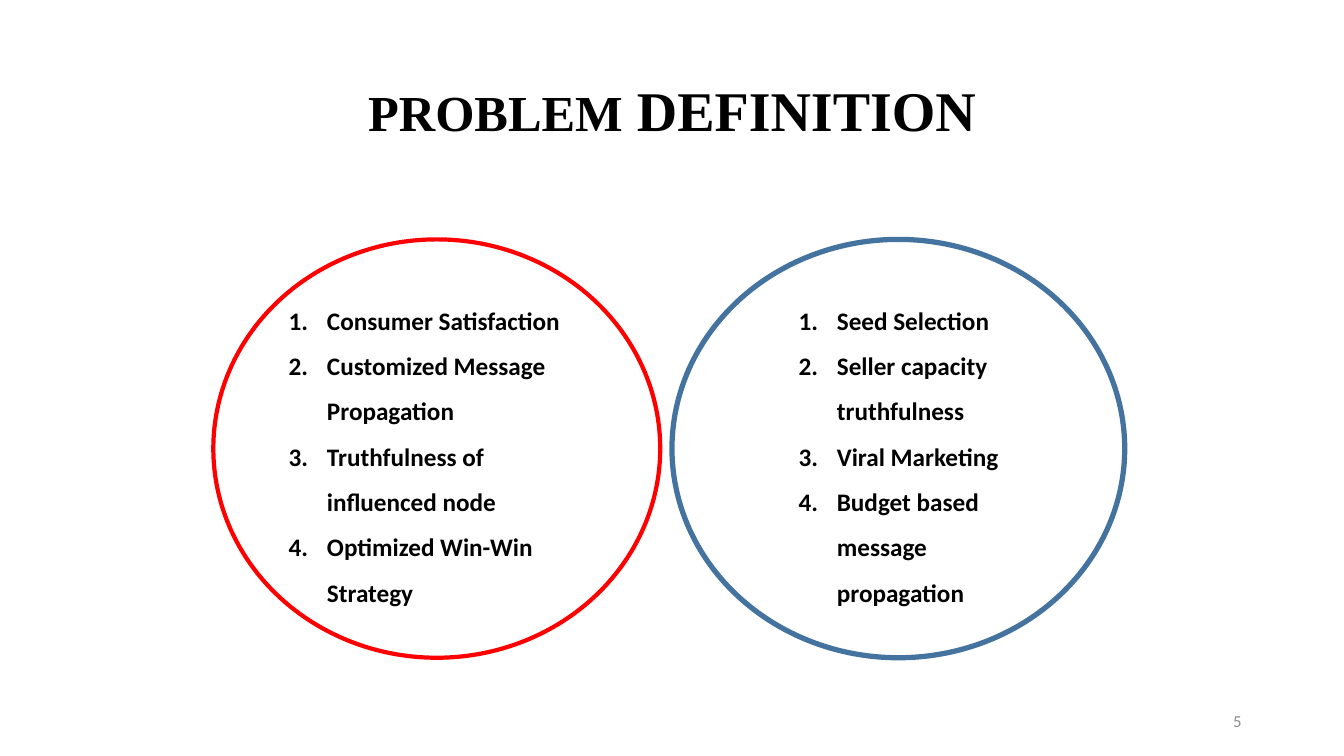
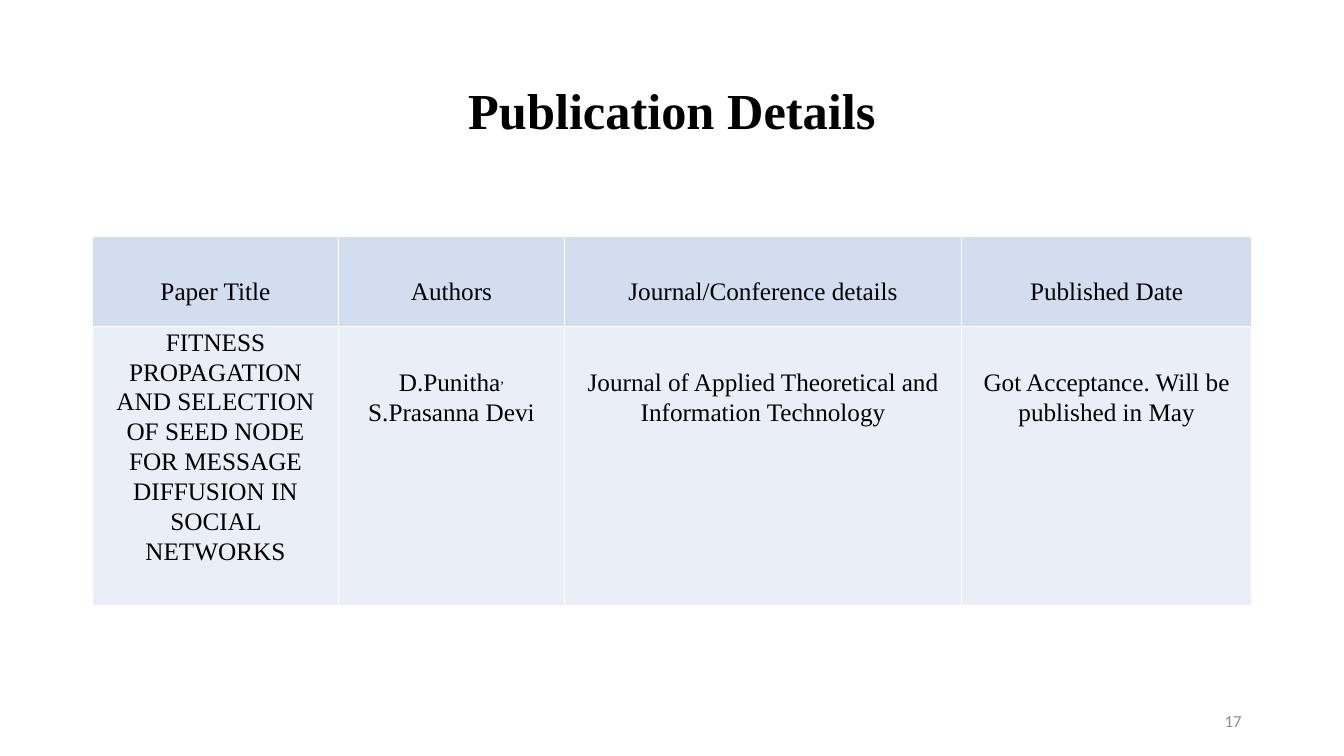
from lxml import etree
from pptx import Presentation
from pptx.dml.color import RGBColor
from pptx.enum.shapes import MSO_SHAPE
from pptx.enum.text import MSO_ANCHOR, PP_ALIGN
from pptx.oxml.ns import qn
from pptx.util import Inches, Pt

OVAL = MSO_SHAPE.OVAL
MIDDLE, TOP = MSO_ANCHOR.MIDDLE, MSO_ANCHOR.TOP
LEFT, CENTER, RIGHT = PP_ALIGN.LEFT, PP_ALIGN.CENTER, PP_ALIGN.RIGHT

BLACK = RGBColor(0x00, 0x00, 0x00)
WHITE = RGBColor(0xFF, 0xFF, 0xFF)
GRAY = RGBColor(0x8C, 0x8C, 0x8C)
RED = RGBColor(0xFF, 0x00, 0x00)
BLUE = RGBColor(0x43, 0x73, 0x9E)
HEADER_FILL = RGBColor(0xD2, 0xDE, 0xEF)
BODY_FILL = RGBColor(0xEA, 0xEF, 0xF7)
SERIF, SANS = "Times New Roman", "Calibri"

presentation = Presentation()
presentation.slide_width = Inches(13.33)
presentation.slide_height = Inches(7.5)

# The grid has 160 columns and 90 rows; content spans 138 columns.
COLUMN = presentation.slide_width / 160
ROW = presentation.slide_height / 90
MARGIN, CONTENT = 11, 138


def grid_box(left, top, width, height):
    return (int(left * COLUMN), int(top * ROW),
            int(width * COLUMN), int(height * ROW))


def format_paragraph(paragraph, align, font_name, size, color, bold=False):
    paragraph.alignment = align
    for run in paragraph.runs:
        run.font.name = font_name
        run.font.size = Pt(size)
        run.font.color.rgb = color
        run.font.bold = bold


# Titles and page numbers of both slides
slides = []
for title_parts, number in [(["PROBLEM", " DEFINITION"], "5"),
                            (["Publication Details"], "17")]:
    slide = presentation.slides.add_slide(presentation.slide_layouts[5])
    slides.append(slide)

    title = slide.shapes.title
    title.left, title.top, title.width, title.height = grid_box(
        MARGIN, 4.8, CONTENT, 17.4)
    title.text_frame.vertical_anchor = MIDDLE
    paragraph = title.text_frame.paragraphs[0]
    for part in title_parts:
        paragraph.add_run().text = part
    paragraph.line_spacing = 0.9
    format_paragraph(paragraph, CENTER, SERIF, 36, BLACK, bold=True)

    page_number = slide.shapes.add_textbox(*grid_box(113, 83.4, 36, 4.8))
    page_number.text_frame.word_wrap = True
    page_number.text_frame.vertical_anchor = MIDDLE
    page_number.text_frame.text = number
    format_paragraph(page_number.text_frame.paragraphs[0], RIGHT, SANS, 12, GRAY)

problem_slide, publication_slide = slides
problem_slide.shapes.title.text_frame.paragraphs[0].runs[1].font.size = Pt(40)

# Problem definition: two circles with numbered lists
circles = [
    (25.4, 53.2, RED, 3, 0.38,
     ["Consumer Satisfaction", "Customized Message Propagation",
      "Truthfulness of influenced node", "Optimized Win-Win Strategy"]),
    (80, 53.9, BLUE, 3.75, 0.88,
     ["Seed Selection", "Seller capacity truthfulness",
      "Viral Marketing", "Budget based message propagation"]),
]
for left, width, color, line_width, indent, items in circles:
    circle = problem_slide.shapes.add_shape(OVAL, *grid_box(left, 28.5, width, 49.8))
    circle.shadow.inherit = False
    circle.fill.background()
    circle.line.color.rgb = color
    circle.line.width = Pt(line_width)
    circle.text_frame.vertical_anchor = MIDDLE
    circle.text_frame.text = "\n".join(items)
    for paragraph in circle.text_frame.paragraphs:
        paragraph.line_spacing = 1.5
        format_paragraph(paragraph, LEFT, SANS, 18, BLACK, bold=True)
        properties = paragraph._p.get_or_add_pPr()
        properties.set("marL", str(Inches(indent)))
        properties.set("indent", str(Inches(-0.38)))
        etree.SubElement(properties, qn("a:buFont"), typeface="+mj-lt")
        etree.SubElement(properties, qn("a:buAutoNum"), type="arabicPeriod")

# Publication details: table
column_widths = [29.3, 26.9, 47.3, 34.5]
row_heights = [10.8, 33.2]
row_fills = [HEADER_FILL, BODY_FILL]
publications = [
    ["Paper Title", "Authors", "Journal/Conference details", "Published Date"],
    ["FITNESS PROPAGATION AND SELECTION OF SEED NODE FOR MESSAGE DIFFUSION "
     "IN SOCIAL NETWORKS",
     "D.Punitha",
     "Journal of Applied Theoretical and Information Technology",
     "Got Acceptance. Will be published in May"],
]
table = publication_slide.shapes.add_table(
    len(row_heights), len(column_widths),
    *grid_box(MARGIN, 28.1, CONTENT, sum(row_heights))).table
table.first_row = False
table.horz_banding = False
for table_column, width in zip(table.columns, column_widths):
    table_column.width = int(width * COLUMN)
for table_row, height in zip(table.rows, row_heights):
    table_row.height = int(height * ROW)

for row_index, texts in enumerate(publications):
    for column_index, text in enumerate(texts):
        cell = table.cell(row_index, column_index)
        cell.text_frame.text = text
        cell.vertical_anchor = TOP
        cell.margin_left = cell.margin_right = Inches(0.07)
        is_paper_title = row_index == 1 and column_index == 0
        cell.margin_top = 0 if is_paper_title else Inches(0.4)
        cell.margin_bottom = 0
        cell.fill.solid()
        cell.fill.fore_color.rgb = row_fills[row_index]
        cell_properties = cell._tc.get_or_add_tcPr()
        for position, side in enumerate(["lnL", "lnR", "lnT", "lnB"]):
            border = etree.Element(qn(f"a:{side}"), w=str(Pt(1)))
            border_fill = etree.SubElement(border, qn("a:solidFill"))
            etree.SubElement(border_fill, qn("a:srgbClr"), val=str(WHITE))
            cell_properties.insert(position, border)

authors = table.cell(1, 1).text_frame.paragraphs[0]
comma = authors.add_run()
comma.text = ", "
comma.font._element.set("baseline", "30000")
authors.add_run().text = "S.Prasanna Devi"

for cell in table.iter_cells():
    paragraph = cell.text_frame.paragraphs[0]
    paragraph.line_spacing = 1.07
    paragraph.space_after = Pt(8)
    format_paragraph(paragraph, CENTER, SERIF, 18, BLACK)

presentation.save("out.pptx")
